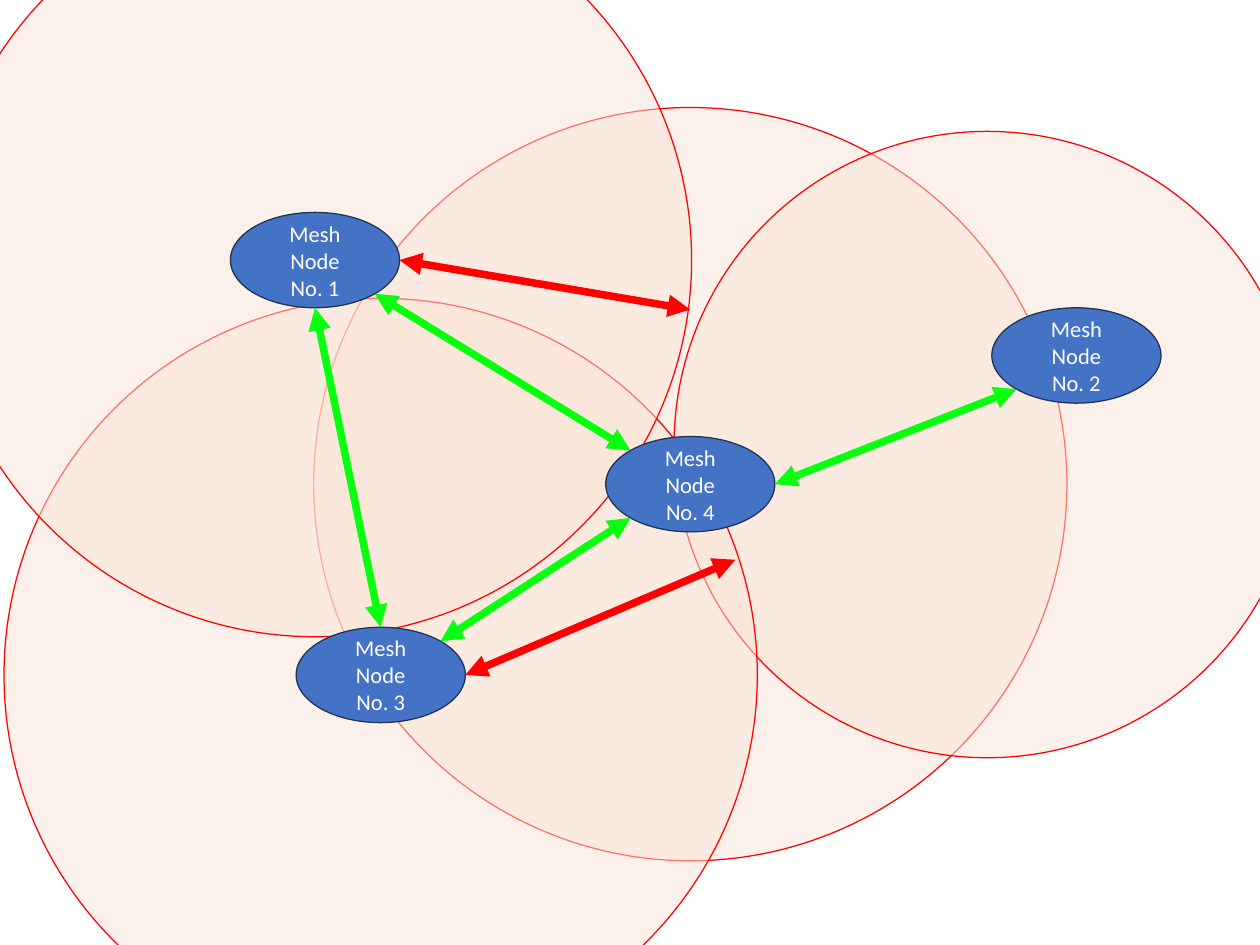
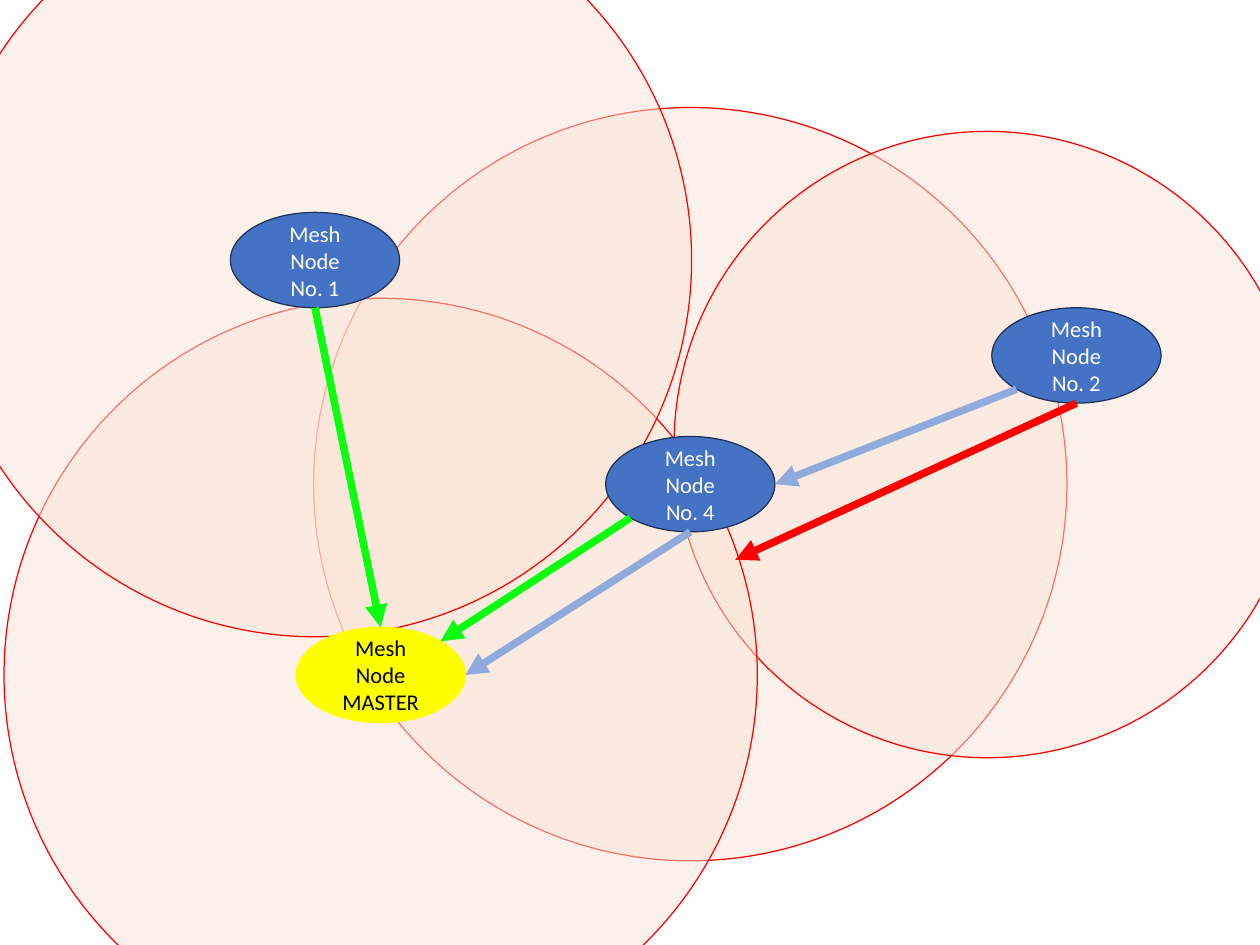
import math

import lxml.etree
import pptx
import pptx.dml.color
import pptx.enum.shapes
import pptx.enum.text
import pptx.oxml.ns
import pptx.util

COLORS = {
    "range_fill": "FBE5D6", "range_edge": "FF0000",
    "node": "4472C4", "node_edge": "1E3256", "node_text": "FFFFFF",
    "master": "FFFF00", "master_text": "000000",
    "direct": "09FF0F", "relayed": "8FAADC", "out_of_range": "FF0000",
}
COLUMNS, ROWS = 28, 21
NODE_SIZE = (3.76, 2.12)
NODES = {1: (7, 5.78), 2: (23.92, 7.9), 3: (8.46, 15), 4: (15.34, 10.76)}
WIDE, NARROW = 16.74, 13.92
RANGES = [(NODES[4], WIDE), ((21.94, 9.88), NARROW), (NODES[3], WIDE), (NODES[1], WIDE)]
ANGLES = {"E": 0, "SE": 45, "S": 90, "SW": 135, "W": 180, "NW": 225, "N": 270, "NE": 315}
LIMIT_OF_1 = (15.34, 6.88)
LIMIT_OF_3 = (16.34, 12.44)


def color(name):
    """Return the named palette colour."""
    return pptx.dml.color.RGBColor.from_string(COLORS[name])


def rim(node, direction):
    """Return the grid point on a node's edge in a compass direction."""
    angle = math.radians(ANGLES[direction])
    (x, y), (width, height) = NODES[node], NODE_SIZE
    return x + width / 2 * math.cos(angle), y + height / 2 * math.sin(angle)


def place(box, point):
    """Convert a grid point to a position inside the box."""
    left, top, width, height = box
    return round(left + point[0] * width / COLUMNS), round(top + point[1] * height / ROWS)


def write(shape, text, *, ink, size=18, font="Calibri"):
    """Put centred text with one format in a shape."""
    frame = shape.text_frame
    frame.word_wrap = True
    frame.vertical_anchor = pptx.enum.text.MSO_ANCHOR.MIDDLE
    paragraph = frame.paragraphs[0]
    paragraph.text = text
    paragraph.alignment = pptx.enum.text.PP_ALIGN.CENTER
    for run in paragraph.runs:
        run.font.name = font
        run.font.size = pptx.util.Pt(size)
        run.font.color.rgb = color(ink)


def add_ellipse(slide, box, center, size, fill, edge, opacity=100):
    """Draw an ellipse around a grid point."""
    left, top = place(box, [c - s / 2 for c, s in zip(center, size)])
    right, bottom = place(box, [c + s / 2 for c, s in zip(center, size)])
    ellipse = slide.shapes.add_shape(
        pptx.enum.shapes.MSO_SHAPE.OVAL, left, top, right - left, bottom - top)
    ellipse.shadow.inherit = False
    ellipse.fill.solid()
    ellipse.fill.fore_color.rgb = color(fill)
    ellipse.line.color.rgb = color(edge)
    ellipse.line.width = pptx.util.Pt(1)
    if opacity < 100:
        tint = ellipse._element.spPr.find(pptx.oxml.ns.qn("a:solidFill"))[0]
        alpha = lxml.etree.SubElement(tint, pptx.oxml.ns.qn("a:alpha"))
        alpha.set("val", str(opacity * 1000))
    return ellipse


def draw_ranges(slide, box):
    """Draw the radio range of every node."""
    for center, diameter in RANGES:
        add_ellipse(slide, box, center, (diameter, diameter),
                    "range_fill", "range_edge", opacity=50)


def draw_nodes(slide, box, master=None):
    """Draw the labelled nodes, highlighting the master if there is one."""
    for number, center in NODES.items():
        if number == master:
            node = add_ellipse(slide, box, center, NODE_SIZE, "master", "master")
            write(node, "Mesh Node\vMASTER", ink="master_text")
        else:
            node = add_ellipse(slide, box, center, NODE_SIZE, "node", "node_edge")
            write(node, f"Mesh Node\vNo. {number}", ink="node_text")


def draw_links(slide, box, links, ends):
    """Draw the arrows between grid points."""
    for start, finish, kind in links:
        link = slide.shapes.add_connector(
            pptx.enum.shapes.MSO_CONNECTOR.STRAIGHT, *place(box, start), *place(box, finish))
        link.line.color.rgb = color(kind)
        link.line.width = pptx.util.Pt(6)
        for end in ends:
            arrowhead = lxml.etree.SubElement(link.line._ln, pptx.oxml.ns.qn(f"a:{end}"))
            arrowhead.set("type", "triangle")
        lxml.etree.SubElement(link._element.spPr, pptx.oxml.ns.qn("a:effectLst"))


def draw_mesh(slide, box, links, ends, master=None):
    """Draw one mesh diagram in the box."""
    draw_ranges(slide, box)
    draw_nodes(slide, box, master)
    draw_links(slide, box, links, ends)


def main():
    """Build the two mesh network slides."""
    deck = pptx.Presentation()
    deck.slide_width = pptx.util.Inches(14)
    deck.slide_height = pptx.util.Inches(10.5)
    box = (0, 0, deck.slide_width, deck.slide_height)
    blank = deck.slide_layouts[6]

    shared_links = [
        (rim(3, "NE"), rim(4, "SW"), "direct"),
        (rim(3, "N"), rim(1, "S"), "direct"),
    ]
    peer_links = [
        (rim(1, "SE"), rim(4, "NW"), "direct"),
        *shared_links,
        (rim(4, "E"), rim(2, "SW"), "direct"),
        (rim(1, "E"), LIMIT_OF_1, "out_of_range"),
        (rim(3, "E"), LIMIT_OF_3, "out_of_range"),
    ]
    master_links = [
        *shared_links,
        (rim(4, "E"), rim(2, "SW"), "relayed"),
        (LIMIT_OF_3, rim(2, "S"), "out_of_range"),
        (rim(3, "E"), rim(4, "S"), "relayed"),
    ]
    draw_mesh(deck.slides.add_slide(blank), box, peer_links, ("headEnd", "tailEnd"))
    draw_mesh(deck.slides.add_slide(blank), box, master_links, ("headEnd",), master=3)
    deck.save("out.pptx")


if __name__ == "__main__":
    main()
